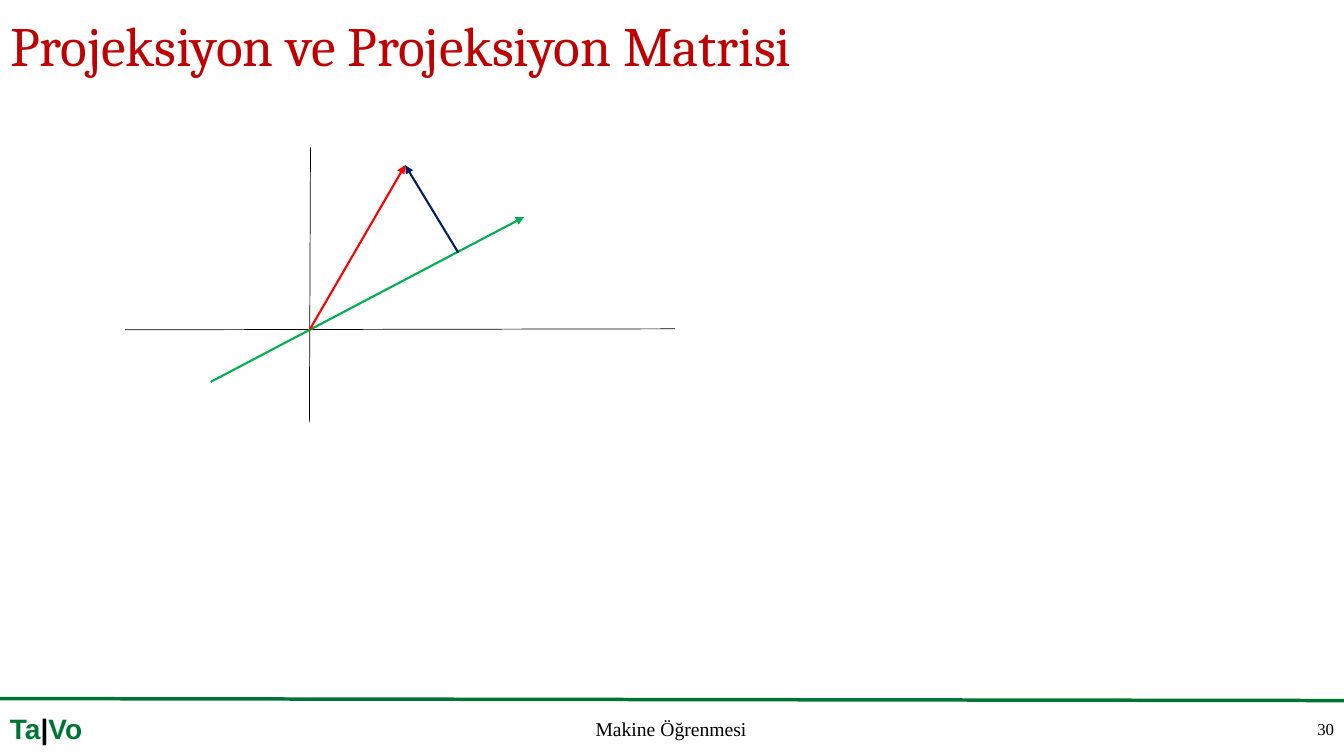
from dataclasses import dataclass

from lxml.etree import SubElement
from pptx import Presentation
from pptx.dml.color import RGBColor
from pptx.enum.shapes import MSO_CONNECTOR
from pptx.enum.text import MSO_ANCHOR, MSO_AUTO_SIZE, PP_ALIGN
from pptx.oxml.ns import qn
from pptx.util import Pt


@dataclass(frozen=True)
class Theme:
    heading: str = "C00000"
    brand: str = "007434"
    ink: str = "000000"
    direction: str = "00B050"
    vector: str = "FF0000"
    error: str = "002060"
    heading_font: str = "Cambria"
    brand_font: str = "Arial"
    footer_font: str = "Times New Roman"
    heading_size: float = 39.6
    brand_size: float = 20
    footer_size: float = 14
    number_size: float = 12
    axis_width: float = 0.5
    vector_width: float = 1.5
    rule_width: float = 2.5


class SlideBuilder:
    def __init__(self, deck, theme):
        self.theme = theme
        self.slide = deck.slides.add_slide(deck.slide_layouts[5])

    def set_text(self, holder, runs, font, size, align, bold=False, spacing=1.0):
        frame = holder.text_frame
        frame_format = {
            "word_wrap": True,
            "auto_size": MSO_AUTO_SIZE.NONE,
            "vertical_anchor": MSO_ANCHOR.MIDDLE,
        }
        for name, value in frame_format.items():
            setattr(frame, name, value)
        paragraph = frame.paragraphs[0]
        paragraph.alignment = align
        paragraph.line_spacing = spacing
        for words, color in runs:
            run = paragraph.add_run()
            run.text = words
            font_format = {"name": font, "size": Pt(size), "bold": bold}
            for name, value in font_format.items():
                setattr(run.font, name, value)
            run.font.color.rgb = RGBColor.from_string(color)

    def title(self, words, left, top, width, height):
        heading = self.slide.shapes.title
        place = {"left": left, "top": top, "width": width, "height": height}
        for name, value in place.items():
            setattr(heading, name, Pt(value))
        self.set_text(heading, [(words, self.theme.heading)], self.theme.heading_font,
                      self.theme.heading_size, PP_ALIGN.LEFT, spacing=0.9)

    def text(self, box, runs, font, size, align=PP_ALIGN.LEFT, bold=False):
        holder = self.slide.shapes.add_textbox(*map(Pt, box))
        self.set_text(holder, runs, font, size, align, bold)

    def line(self, start, end, color, width, arrow=False):
        connector = self.slide.shapes.add_connector(
            MSO_CONNECTOR.STRAIGHT, *map(Pt, (*start, *end)))
        connector.line.color.rgb = RGBColor.from_string(color)
        connector.line.width = Pt(width)
        properties = connector.element.spPr
        if arrow:
            SubElement(properties.find(qn("a:ln")), qn("a:tailEnd"), type="triangle")
        SubElement(properties, qn("a:effectLst"))


def main():
    deck = Presentation()
    deck.slide_width, deck.slide_height = Pt(960), Pt(540)
    theme = Theme()
    page = SlideBuilder(deck, theme)

    page.title("Projeksiyon ve Projeksiyon Matrisi", 0, 16.5, 960, 36)

    page.text((0, 504, 79, 32),
              [("Ta", theme.brand), ("|", theme.ink), ("Vo", theme.brand)],
              theme.brand_font, theme.brand_size, bold=True)
    page.text((915, 500.4, 45, 39.6), [("30", theme.ink)],
              theme.footer_font, theme.number_size, PP_ALIGN.RIGHT)
    page.line((0, 499), (960, 500.4), theme.brand, theme.rule_width)
    page.text((418.3, 508, 124, 24.5), [("Makine Öğrenmesi", theme.ink)],
              theme.footer_font, theme.footer_size)

    origin = (221.3, 235.4)
    vector_tip = (289.4, 118)
    projection = (327.4, 180.5)

    axes = [((221.8, 105.3), (221, 301.8)), ((89.3, 235.6), (482.3, 234.9))]
    for start, end in axes:
        page.line(start, end, theme.ink, theme.axis_width)

    vectors = [
        ((150.5, 272.8), (374.4, 155), theme.direction),
        (origin, vector_tip, theme.vector),
        (projection, vector_tip, theme.error),
    ]
    for start, end, color in vectors:
        page.line(start, end, color, theme.vector_width, arrow=True)

    deck.save("out.pptx")


if __name__ == "__main__":
    main()
